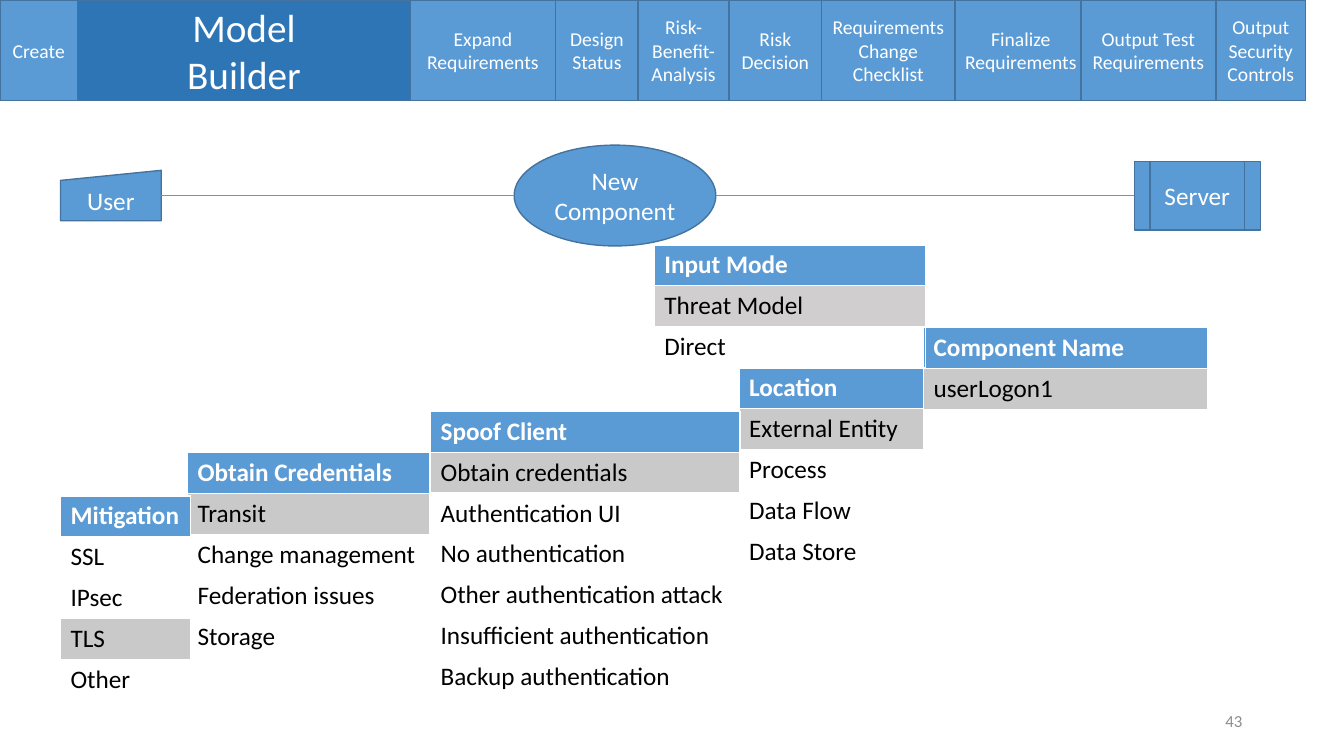
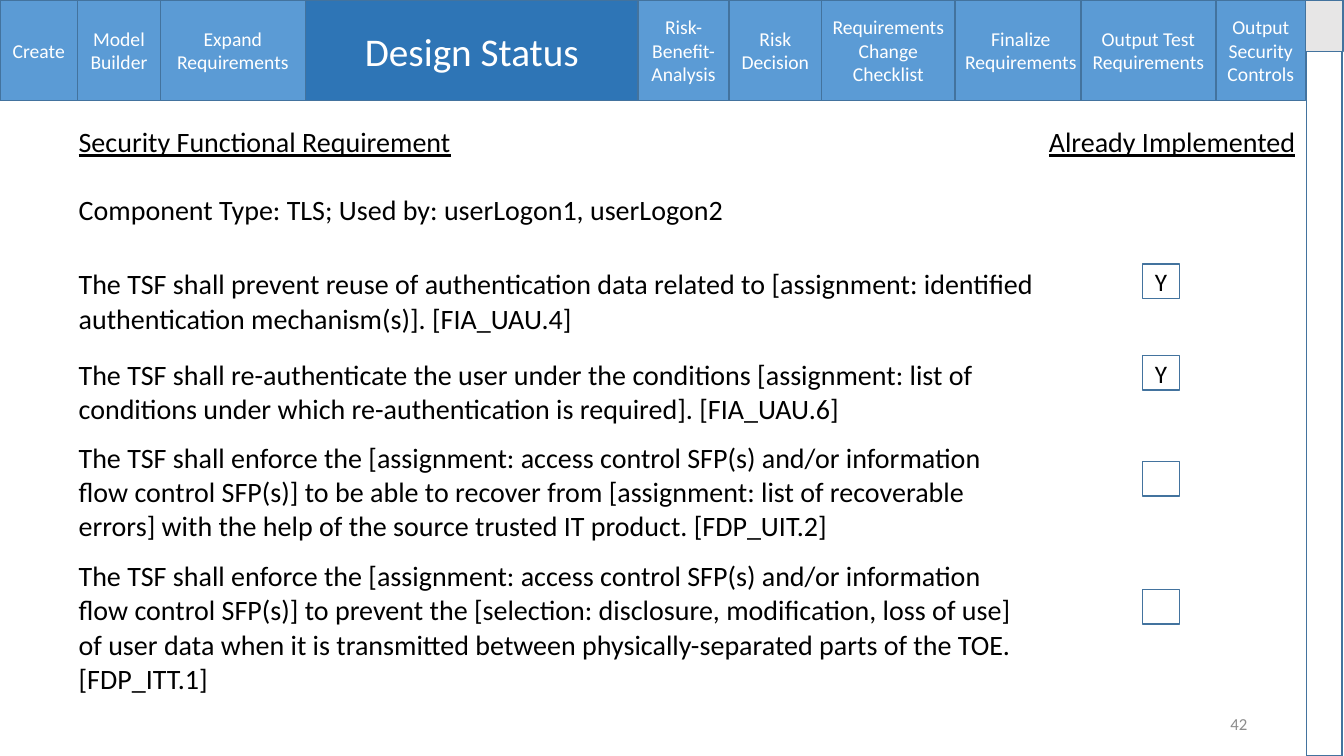
"""Build two slides of a security requirements wizard."""
from lxml.etree import SubElement
from pptx import Presentation
from pptx.dml.color import RGBColor
from pptx.enum.shapes import MSO_CONNECTOR as CONN, MSO_SHAPE as SHAPE
from pptx.enum.text import MSO_ANCHOR as ANCHOR, PP_ALIGN as ALIGN
from pptx.oxml.ns import qn
from pptx.util import Pt

PX = 9144
FONT = "Calibri"
COLORS = {
    "blue": "5B9BD5", "active": "2E75B6", "edge": "43739E", "white": "FFFFFF",
    "black": "000000", "picked": "C9C9C9", "warm": "D0CECE", "thumb": "E7E6E6",
    "number": "8C8C8C",
}
ACTIVE_W, HEADER_H, ROW_H = 330, 100, 40
STAGES = [
    ("Create", 77, 0), ("Model\nBuilder", 82, 0), ("Expand Requirements", 144, 0),
    ("Design Status", 82, 0), ("Risk-Benefit-Analysis", 90, 0),
    ("Risk Decision", 92, 0), ("Requirements Change Checklist", 132, 0),
    ("Finalize Requirements", 131, 6), ("Output Test Requirements", 134, 0),
    ("Output Security Controls", 89, 0),
]
OPTION_LISTS = [
    (733, 365, 183, ["Location", "External Entity", "Process", "Data Flow",
                     "Data Store"], 1, "picked"),
    (916, 325, 282, ["Component Name", "userLogon1"], 1, "picked"),
    (427, 408, 307, ["Spoof Client", "Obtain credentials", "Authentication UI",
                     "No authentication", "Other authentication attack",
                     "Insufficient authentication", "Backup authentication"],
     1, "picked"),
    (186, 449, 240, ["Obtain Credentials", "Transit", "Change management",
                     "Federation issues", "Storage"], 1, "picked"),
    (60, 492, 129, ["Mitigation", "SSL", "IPsec", "TLS", "Other"], 3, "picked"),
    (649, 243, 269, ["Input Mode", "Threat Model", "Direct"], 1, "warm"),
]
REQUIREMENTS = [
    (136, ANCHOR.TOP, "Security Functional Requirement\n"
     "Component Type: TLS; Used by: userLogon1, userLogon2"),
    (79, ANCHOR.MIDDLE, "The TSF shall prevent reuse of authentication data related to "
     "[assignment: identified authentication mechanism(s)]. [FIA_UAU.4]"),
    (85, ANCHOR.BOTTOM, "The TSF shall re-authenticate the user under the conditions "
     "[assignment: list of conditions under which re-authentication is required]. "
     "[FIA_UAU.6]"),
    (129, ANCHOR.MIDDLE, "The TSF shall enforce the [assignment: access control SFP(s) "
     "and/or information flow control SFP(s)] to be able to recover from "
     "[assignment: list of recoverable errors] with the help of the source trusted "
     "IT product. [FDP_UIT.2]"),
    (140, ANCHOR.MIDDLE, "The TSF shall enforce the [assignment: access control SFP(s) "
     "and/or information flow control SFP(s)] to prevent the [selection: disclosure, "
     "modification, loss of use] of user data when it is transmitted between "
     "physically-separated parts of the TOE. [FDP_ITT.1]"),
]
CHECKBOXES = [(262, "Y"), (353, "Y"), (458, ""), (585, "")]


def px(*values):
    return [v * PX for v in values]


def rgb(name):
    return RGBColor.from_string(COLORS[name])


def set_fill(target, color):
    if color:
        target.fill.solid()
        target.fill.fore_color.rgb = rgb(color)
    else:
        target.fill.background()


def write(tf, text, size, color, align=ALIGN.LEFT, bold=False):
    tf.text = text
    tf.word_wrap = True
    for p in tf.paragraphs:
        p.alignment = align
        for r in p.runs:
            r.font.name, r.font.size, r.font.bold = FONT, Pt(size), bold
            r.font.color.rgb = rgb(color)


def add_box(s, kind, box, fill="blue", text="", size=18, color="white"):
    sp = s.shapes.add_shape(kind, *px(*box))
    sp.shadow.inherit = False
    set_fill(sp, fill)
    sp.line.color.rgb = rgb("edge")
    sp.line.width = Pt(1)
    if text:
        sp.text_frame.vertical_anchor = ANCHOR.MIDDLE
        write(sp.text_frame, text, size, color, ALIGN.CENTER)


def add_link(s, x1, x2, y):
    cn = s.shapes.add_connector(CONN.STRAIGHT, *px(x1, y, x2, y))
    cn.line.color.rgb = rgb("blue")
    cn.line.width = Pt(0.5)
    SubElement(cn.element.spPr, qn("a:effectLst"))


def add_header(s, active):
    x = 0
    for i, (text, width, overlap) in enumerate(STAGES):
        on = i == active
        w = ACTIVE_W if on else width
        add_box(s, SHAPE.RECTANGLE, (x, 0, w, HEADER_H),
                "active" if on else "blue", text, 28 if on else 14)
        x += w - overlap


def add_number(s, x, y, number):
    tf = s.shapes.add_textbox(*px(x, y, 300, 40)).text_frame
    tf.vertical_anchor = ANCHOR.MIDDLE
    write(tf, number, 12, "number", ALIGN.RIGHT)


def add_grid(s, x, y, widths, heights, header):
    tbl = s.shapes.add_table(len(heights), len(widths),
                             *px(x, y, sum(widths), sum(heights))).table
    tbl.first_row, tbl.horz_banding = header, False
    for col, w in zip(tbl.columns, widths):
        col.width = w * PX
    for row, h in zip(tbl.rows, heights):
        row.height = h * PX
    return tbl


def add_options(s, x, y, width, items, picked, shade):
    tbl = add_grid(s, x, y, [width], [ROW_H] * len(items), True)
    for i, text in enumerate(items):
        cell = tbl.cell(i, 0)
        head = i == 0
        set_fill(cell, "blue" if head else shade if i == picked else None)
        write(cell.text_frame, text, 18, "white" if head else "black", bold=head)


def add_requirements(s):
    tbl = add_grid(s, 77, 124, [952, 267], [h for h, _, _ in REQUIREMENTS], False)
    for cell in tbl.iter_cells():
        set_fill(cell, None)
        cell.margin_left = cell.margin_right = cell.margin_top = PX
        cell.margin_bottom = 0
    for i, (_, anchor, text) in enumerate(REQUIREMENTS):
        cell = tbl.cell(i, 0)
        cell.vertical_anchor = anchor
        write(cell.text_frame, text, 20, "black")
    write(tbl.cell(0, 1).text_frame, "Already Implemented", 20, "black", ALIGN.CENTER)
    for col in range(2):
        tbl.cell(0, col).text_frame.paragraphs[0].runs[0].font.underline = True
    tbl.cell(0, 0).text_frame.paragraphs[1].space_before = Pt(24)


def build_model(s):
    add_options(s, *OPTION_LISTS[0])
    add_header(s, 1)
    add_box(s, SHAPE.OVAL, (510, 144, 200, 100), text="New Component")
    add_box(s, SHAPE.FLOWCHART_MANUAL_INPUT, (60, 169, 100, 50), text="User")
    add_box(s, SHAPE.FLOWCHART_PREDEFINED_PROCESS, (1125, 160, 125, 68), text="Server")
    add_link(s, 160, 510, 194)
    add_link(s, 710, 1125, 194)
    for options in OPTION_LISTS[1:]:
        add_options(s, *options)
    add_number(s, 942, 695, "43")


def build_status(s):
    add_header(s, 3)
    add_number(s, 947, 698, "42")
    add_requirements(s)
    for y, mark in CHECKBOXES:
        add_box(s, SHAPE.ACTION_BUTTON_CUSTOM, (1133, y, 37, 34), None, mark,
                color="black")
    add_box(s, SHAPE.RECTANGLE, (1296, 0, 35, 750), None)
    add_box(s, SHAPE.RECTANGLE, (1295, 0, 37, 51), "thumb")


def main():
    prs = Presentation()
    prs.slide_width, prs.slide_height = px(1333, 750)
    for build in (build_model, build_status):
        build(prs.slides.add_slide(prs.slide_layouts[6]))
    prs.save("out.pptx")


if __name__ == "__main__":
    main()
